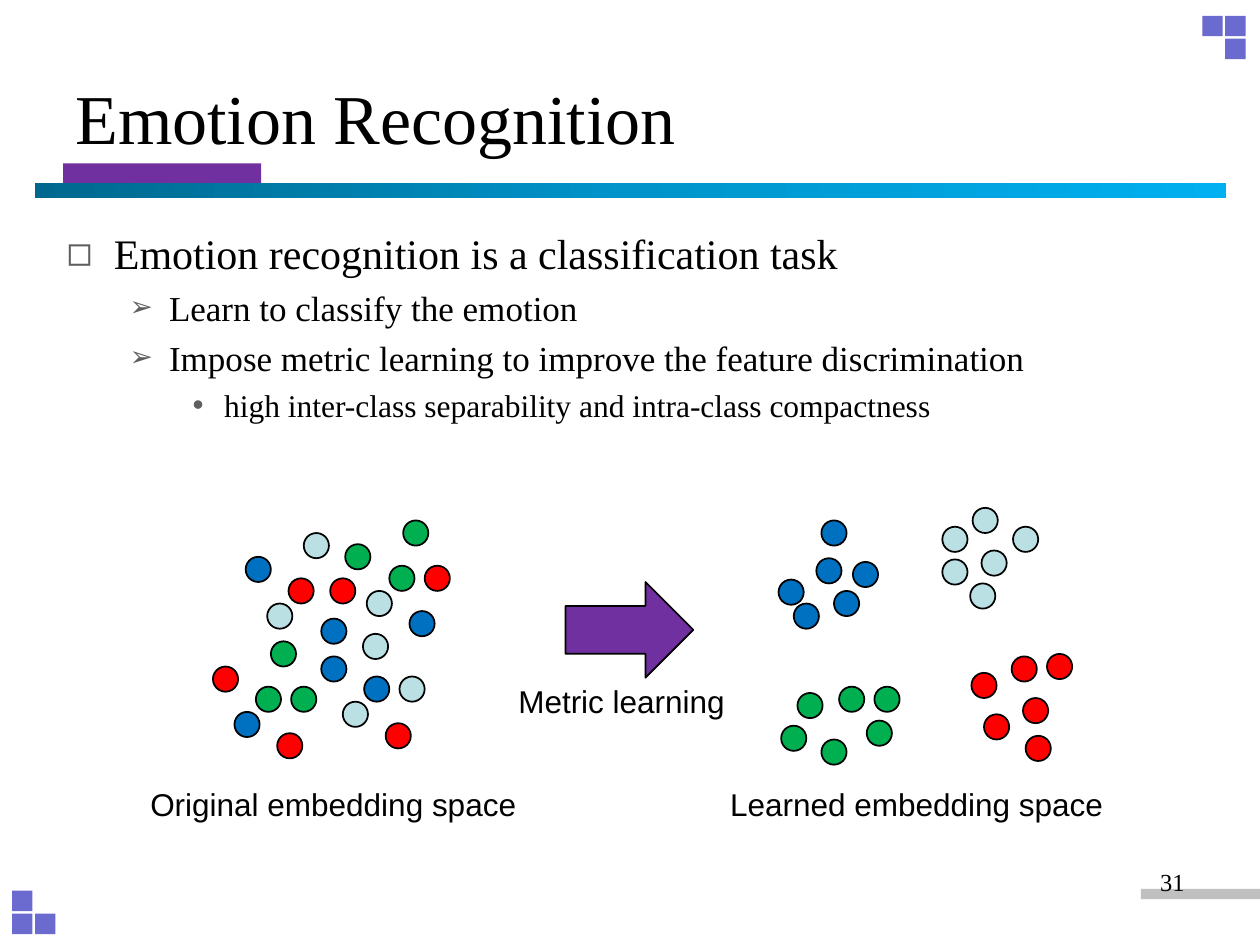
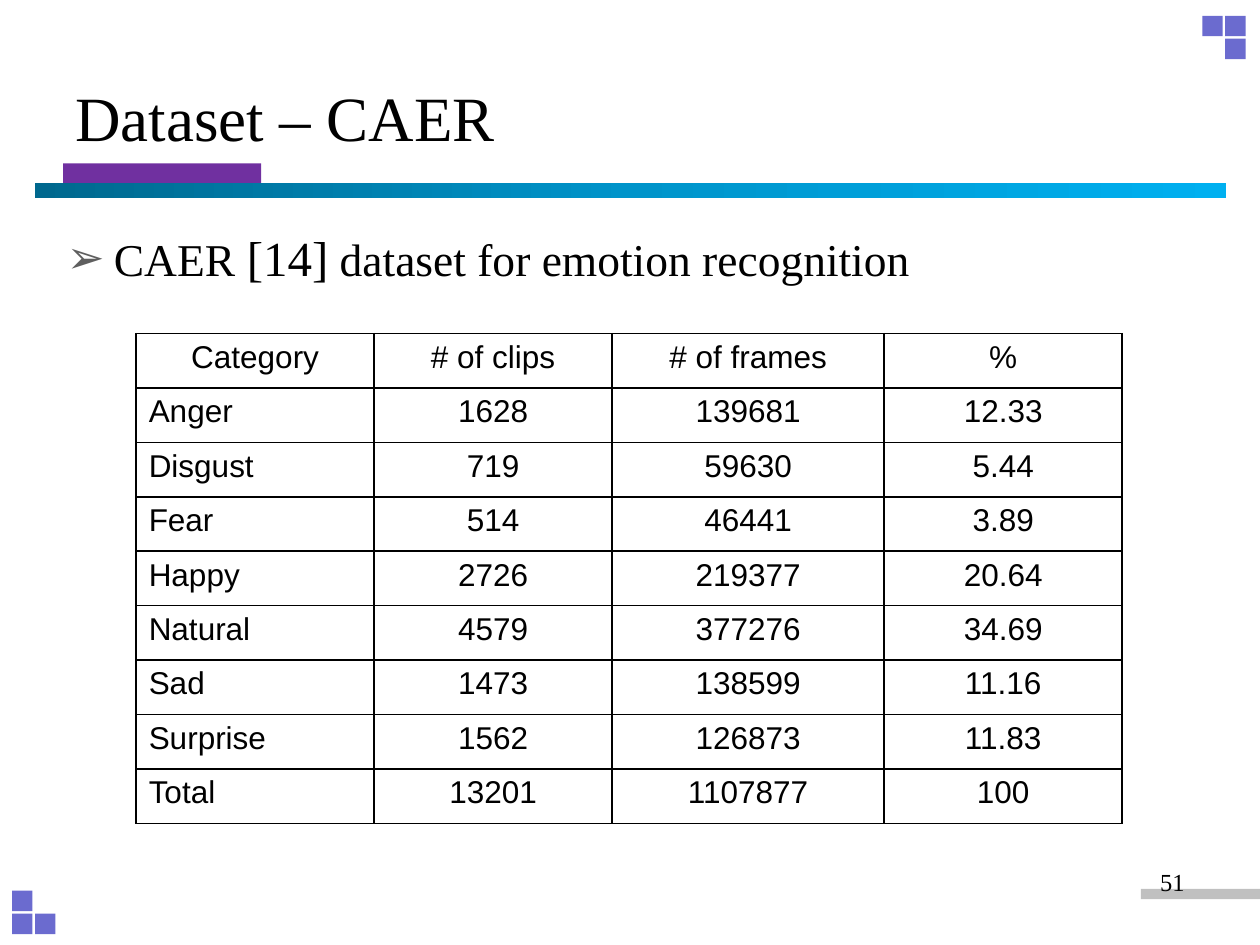
from copy import deepcopy

from pptx import Presentation
from pptx.dml.color import RGBColor
from pptx.enum.shapes import MSO_SHAPE as Shape
from pptx.enum.text import MSO_ANCHOR as Anchor, PP_ALIGN as Align
from pptx.oxml import parse_xml
from pptx.oxml.ns import nsdecls, qn
from pptx.util import Pt

BLACK = RGBColor(0x00, 0x00, 0x00)
PURPLE = RGBColor(0x70, 0x30, 0xA0)
CORNER = RGBColor(0x6B, 0x6B, 0xCF)
FOOTER_GREY = RGBColor(0xC0, 0xC0, 0xC0)
BULLET_GREY = RGBColor(0x5F, 0x5F, 0x5F)
BAND_STOPS = [(0, RGBColor(0x00, 0x68, 0x8E)),
              (0.5, RGBColor(0x00, 0x94, 0xCA)),
              (1, RGBColor(0x00, 0xB0, 0xF0))]
PALE = RGBColor(0xBB, 0xE0, 0xE3)
BLUE = RGBColor(0x00, 0x70, 0xC0)
RED = RGBColor(0xFF, 0x00, 0x00)
GREEN = RGBColor(0x00, 0xB0, 0x50)

SERIF, SANS = "Times New Roman", "Arial"
WIDTH, HEIGHT = 720, 540
BODY_BOX = (31, 126.7, 648, 387.4)
BULLET_INDENTS = [(27, 27), (58.5, 22.5), (90, 18)]  # text start, hang
DOT = 14.4
CAPTION_TOP, CAPTION_HEIGHT = 157, 29

# Dot positions relative to the box of their embedding space
ORIGINAL_DOTS = {
    PALE: [(99.4, 16.6), (78.5, 56.9), (135.4, 49.7), (133.2, 74.2), (154.1, 98.6), (121.7, 113)],
    BLUE: [(66.2, 30.2), (109.4, 65.5), (159.8, 61.2), (59.8, 118.8), (109.4, 87.1), (133.9, 98.6)],
    RED: [(90.7, 42.5), (114.5, 42.5), (168.5, 35.3), (47.5, 92.9), (84.2, 131), (146.2, 125.3)],
    GREEN: [(156.2, 9.4), (123.1, 23), (148.3, 35.3), (80.6, 78.5), (72, 104.4), (92.2, 104.4)],
}
LEARNED_DOTS = {
    PALE: [(131, 13), (148.3, 2.2), (153.4, 26.6), (146.9, 45.4), (131, 31.7), (171.4, 13)],
    BLUE: [(79.9, 33.1), (37.4, 43.2), (61.9, 9.4), (69.1, 49.7), (59, 31), (46.1, 56.9)],
    RED: [(147.6, 96.5), (170.6, 87.1), (177.1, 110.9), (178.6, 132.5), (190.8, 85.7), (154.8, 120.2)],
    GREEN: [(48.2, 108), (61.9, 134.6), (87.8, 123.8), (38.9, 126.7), (72, 104.4), (92.2, 104.4)],
}

CAER_COLUMNS = [136, 136, 155.5, 136]
CAER_ROWS = [
    ("Category", "# of clips", "# of frames", "%"),
    ("Anger", "1628", "139681", "12.33"),
    ("Disgust", "719", "59630", "5.44"),
    ("Fear", "514", "46441", "3.89"),
    ("Happy", "2726", "219377", "20.64"),
    ("Natural", "4579", "377276", "34.69"),
    ("Sad", "1473", "138599", "11.16"),
    ("Surprise", "1562", "126873", "11.83"),
    ("Total", "13201", "1107877", "100"),
]


def in_points(box):
    return [Pt(length) for length in box]


def add_bullet(paragraph, mark, level, percent):
    start, hang = BULLET_INDENTS[level]
    props = paragraph._p.get_or_add_pPr()
    props.set("marL", str(Pt(start)))
    props.set("indent", str(-Pt(hang)))
    paragraph.level = level
    for xml in (f'<a:buClr {nsdecls("a")}><a:srgbClr val="{BULLET_GREY}"/></a:buClr>',
                f'<a:buSzPct {nsdecls("a")} val="{percent * 1000}"/>',
                f'<a:buFont {nsdecls("a")} typeface="{SANS}"/>',
                f'<a:buChar {nsdecls("a")} char="{mark}"/>'):
        props.append(parse_xml(xml))


def write(frame, text, size=18, font=SANS, align=Align.LEFT,
          bullet=None, level=0, bullet_percent=100):
    """Add a paragraph; text is a string or a list of (string, size) runs."""
    first = not frame.paragraphs[0].runs
    paragraph = frame.paragraphs[0] if first else frame.add_paragraph()
    paragraph.alignment = align
    if bullet:
        add_bullet(paragraph, bullet, level, bullet_percent)
    if not first:
        paragraph.space_before = Pt(round(size * 0.23, 1))
    for words, run_size in [(text, size)] if isinstance(text, str) else text:
        run = paragraph.add_run()
        run.text = words
        run.font.size = Pt(run_size)
        run.font.name = font
        run.font.color.rgb = BLACK


def add_frame(slide, box, anchor=Anchor.TOP):
    frame = slide.shapes.add_textbox(*in_points(box)).text_frame
    frame.word_wrap = True
    frame.vertical_anchor = anchor
    return frame


def add_figure(slide, kind, box, fill, outlined=False):
    figure = slide.shapes.add_shape(kind, *in_points(box))
    figure.shadow.inherit = False
    figure.fill.solid()
    figure.fill.fore_color.rgb = fill
    if outlined:
        figure.line.color.rgb = BLACK
        figure.line.width = Pt(1)
    else:
        figure.line.fill.background()
    return figure


def add_corner(slide, left, top, cells):
    """Small squares at (column, row) cells of a 2 by 2 grid."""
    side, step = 11.7, 13.1
    for column, row in cells:
        add_figure(slide, Shape.RECTANGLE,
                   (left + column * step, top + row * step, side, side), CORNER)


def add_gradient_band(slide, box):
    band = add_figure(slide, Shape.RECTANGLE, box, PURPLE)
    band.fill.gradient()
    band.fill.gradient_angle = 0
    stop_list = band._element.spPr.find(".//" + qn("a:gsLst"))
    stop_list.insert(1, deepcopy(stop_list[0]))
    for stop, (position, color) in zip(band.fill.gradient_stops, BAND_STOPS):
        stop.position = position
        stop.color.rgb = color


def add_base_slide(deck, title, title_size, number):
    slide = deck.slides.add_slide(deck.slide_layouts[6])
    add_figure(slide, Shape.RECTANGLE, (652, 508, 68, 5.8), FOOTER_GREY)
    add_corner(slide, 687, 9, [(0, 0), (1, 0), (1, 1)])
    add_corner(slide, 6.9, 509, [(0, 0), (0, 1), (1, 1)])
    add_figure(slide, Shape.RECTANGLE, (36, 93.4, 113.3, 11.5), PURPLE)
    add_gradient_band(slide, (20, 104.5, 680.5, 8.6))
    write(add_frame(slide, (36, 21.6, 648, 90), Anchor.MIDDLE),
          title, size=title_size, font=SERIF)
    write(add_frame(slide, (516, 492, 168, 37.5)),
          number, size=14, font=SERIF, align=Align.RIGHT)
    return slide


def add_caption(slide, box, text):
    write(add_frame(slide, box), text, align=Align.CENTER)


def add_embedding_space(slide, left, top, width, dots, caption):
    for color, places in dots.items():
        for x, y in places:
            add_figure(slide, Shape.OVAL, (left + x, top + y, DOT, DOT), color, outlined=True)
    add_caption(slide, (left, top + CAPTION_TOP, width, CAPTION_HEIGHT), caption)


def add_learning_arrow(slide, left, top, width):
    arrow_width, arrow_height = 73, 54.7
    add_figure(slide, Shape.RIGHT_ARROW,
               (left + (width - arrow_width) / 2 + 4.5, top, arrow_width, arrow_height),
               PURPLE, outlined=True)
    add_caption(slide, (left, top + 53.3, width, CAPTION_HEIGHT), "Metric learning")


def add_borders(cell):
    props = cell._tc.get_or_add_tcPr()
    for index, side in enumerate(("lnL", "lnR", "lnT", "lnB")):
        props.insert(index, parse_xml(
            f'<a:{side} {nsdecls("a")} w="{Pt(1)}"><a:solidFill>'
            f'<a:srgbClr val="{BLACK}"/></a:solidFill></a:{side}>'))


def add_grid(slide, left, top, widths, row_height, rows):
    box = (left, top, sum(widths), row_height * len(rows))
    grid = slide.shapes.add_table(len(rows), len(widths), *in_points(box)).table
    grid.first_row = grid.horz_banding = False
    for column, width in zip(grid.columns, widths):
        column.width = Pt(width)
    for r, values in enumerate(rows):
        grid.rows[r].height = Pt(row_height)
        for c, value in enumerate(values):
            cell = grid.cell(r, c)
            cell.fill.background()
            add_borders(cell)
            label = r > 0 and c == 0
            write(cell.text_frame, value, align=Align.LEFT if label else Align.CENTER)


def build_recognition_slide(deck):
    slide = add_base_slide(deck, "Emotion Recognition", 40, "31")
    body = add_frame(slide, BODY_BOX)
    write(body, "Emotion recognition is a classification task",
          size=24, font=SERIF, bullet="◻")
    for point in ("Learn to classify the emotion",
                  "Impose metric learning to improve the feature discrimination"):
        write(body, point, size=20, font=SERIF, bullet="➢", level=1, bullet_percent=80)
    write(body, "high inter-class separability and intra-class compactness",
          size=18, font=SERIF, bullet="•", level=2)
    add_embedding_space(slide, 74.2, 288, 232.5, ORIGINAL_DOTS, "Original embedding space")
    add_embedding_space(slide, 407.5, 288, 232.5, LEARNED_DOTS, "Learned embedding space")
    add_learning_arrow(slide, 271.2, 332.6, 168)


def build_dataset_slide(deck):
    slide = add_base_slide(deck, "Dataset – CAER", 36, "51")
    write(add_frame(slide, BODY_BOX),
          [("CAER ", 26), ("[14]", 28), (" dataset for emotion recognition", 26)],
          font=SERIF, bullet="➢")
    add_grid(slide, 77.8, 190.6, CAER_COLUMNS, 31.1, CAER_ROWS)


def main():
    deck = Presentation()
    deck.slide_width, deck.slide_height = Pt(WIDTH), Pt(HEIGHT)
    build_recognition_slide(deck)
    build_dataset_slide(deck)
    deck.save("out.pptx")


if __name__ == "__main__":
    main()
